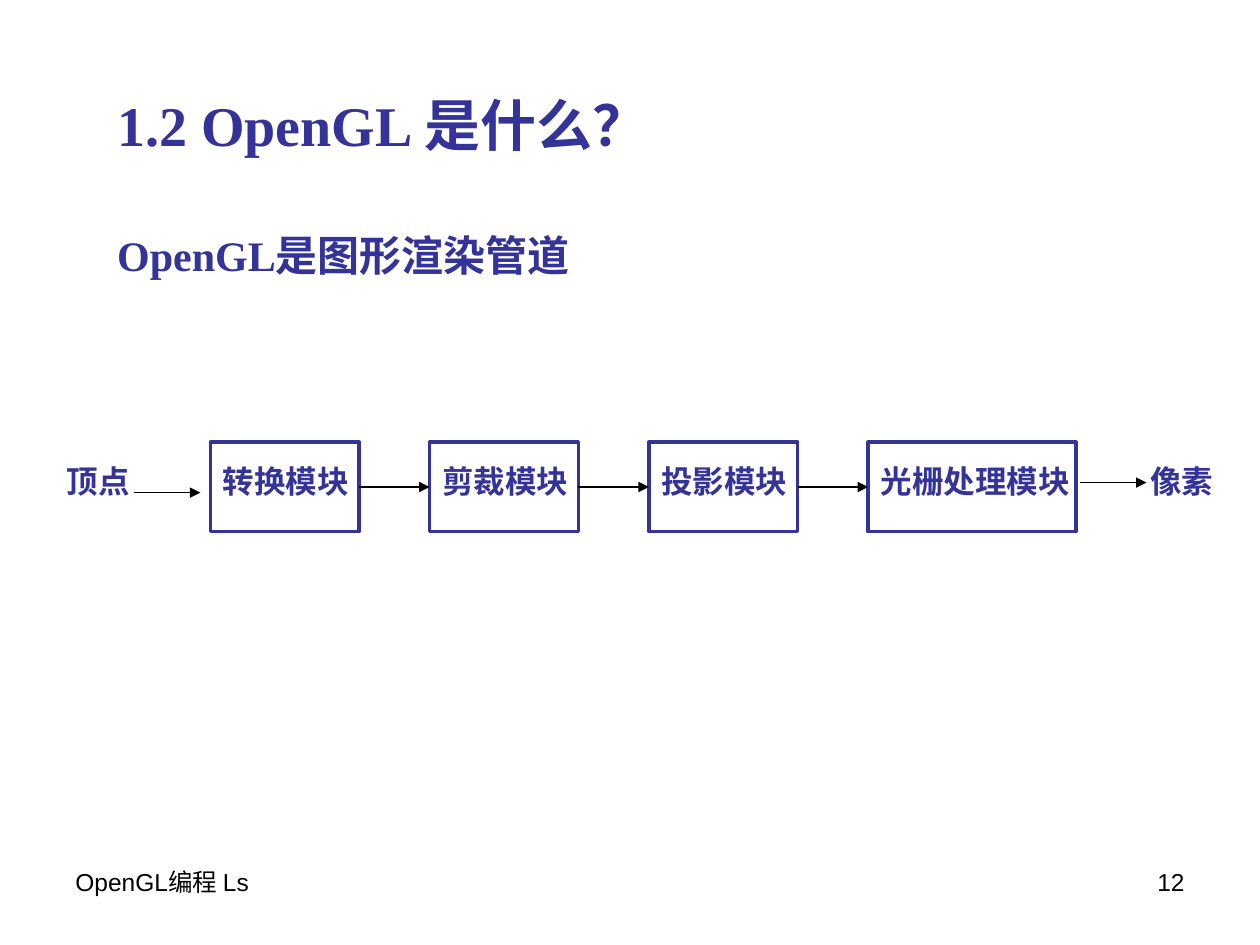
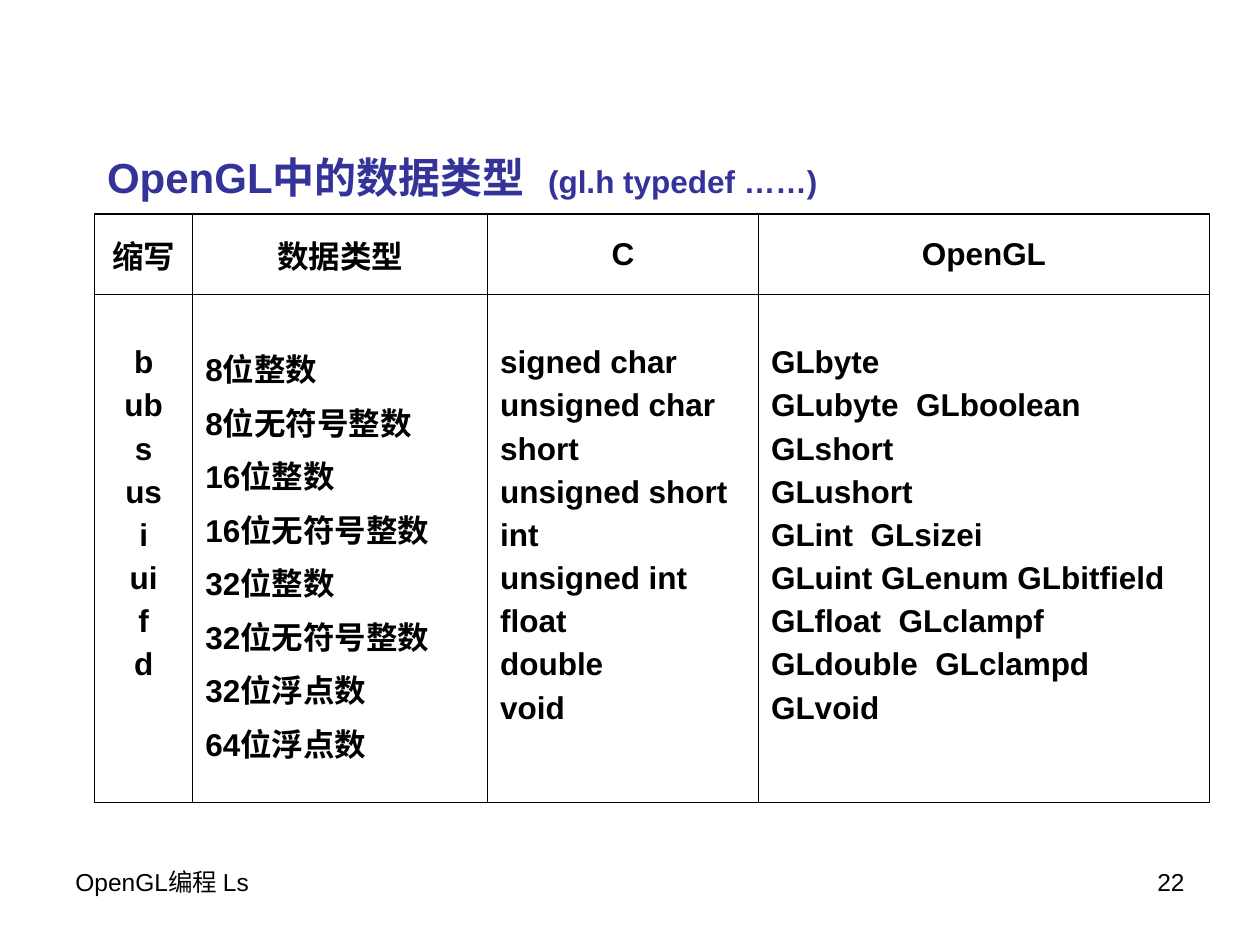
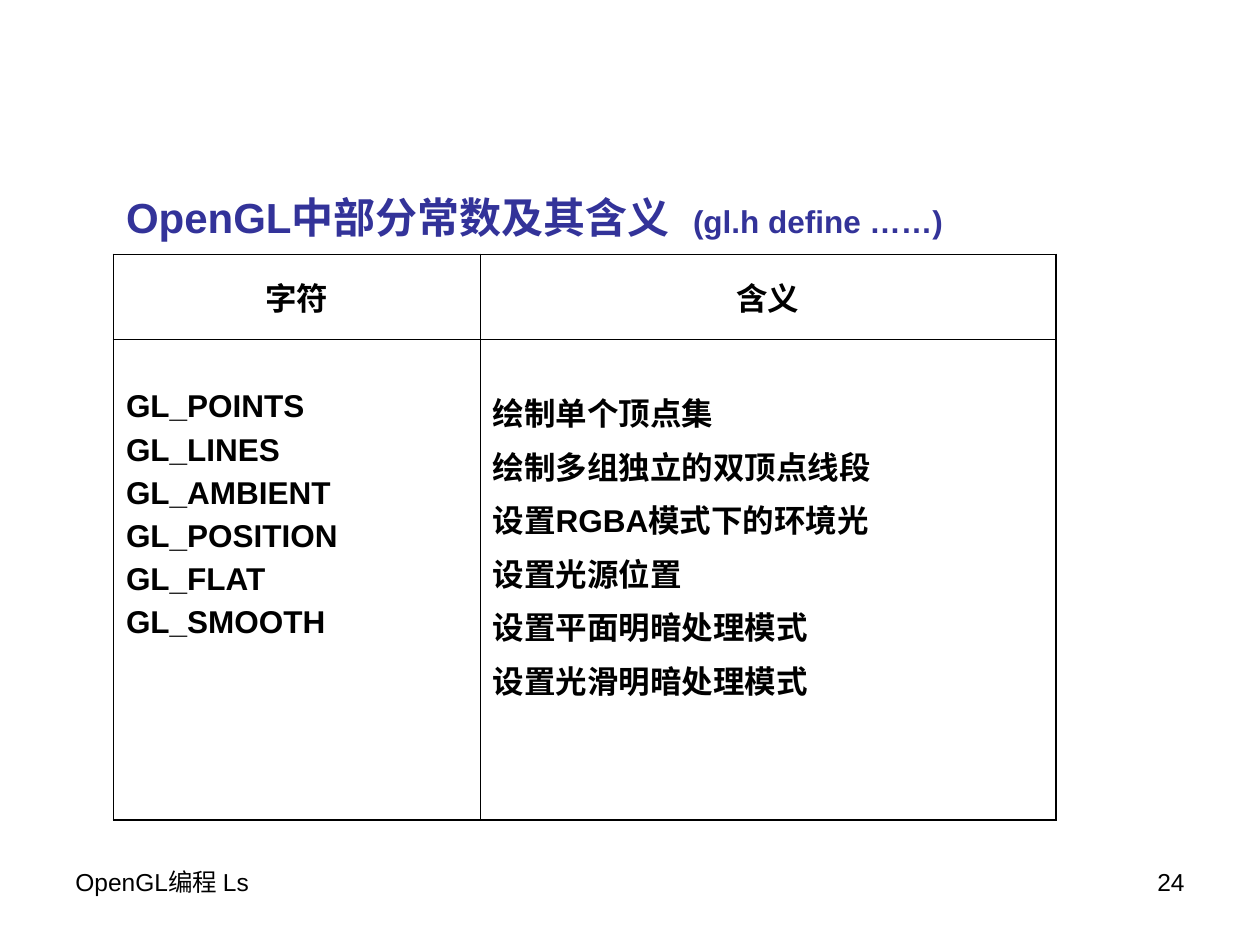
from collections import namedtuple
from pptx import Presentation
from pptx.dml.color import RGBColor
from pptx.enum.dml import MSO_LINE
from pptx.enum.shapes import MSO_CONNECTOR, MSO_SHAPE
from pptx.enum.text import MSO_ANCHOR, MSO_AUTO_SIZE, PP_ALIGN
from pptx.oxml.ns import qn
from pptx.util import Inches, Pt
from lxml.etree import SubElement

INDIGO = RGBColor(0x33, 0x33, 0x99)
BLACK = RGBColor(0, 0, 0)
SANS = "Arial"
SERIF = "Times New Roman"
WIDTH, HEIGHT = Inches(10), Inches(7.5)
COLUMN, ROW = WIDTH / 100, HEIGHT / 75
TITLE_ONLY, TITLE_AND_BODY = 5, 1
FOOTER = "OpenGL编程 Ls"
OUTER_BORDER, INNER_BORDER = Pt(1.08), Pt(0.45)

Box = namedtuple("Box", "left top width height")
Style = namedtuple("Style", "size font color bold")

FOOTER_STYLE = Style(14, SANS, BLACK, False)
HEADING = Style(32, SERIF, INDIGO, True)
SUBHEADING = Style(24, SERIF, INDIGO, True)
TABLE_TITLE = Style(24, SANS, INDIGO, True)
TABLE_NOTE = Style(18, SANS, INDIGO, True)
STAGE = Style(18, SANS, INDIGO, True)
CELL = Style(18, SANS, BLACK, True)

DATA_TYPES = {
    "缩写": ["b", "ub", "s", "us", "i", "ui", "f", "d"],
    "数据类型": ["8位整数", "8位无符号整数", "16位整数", "16位无符号整数",
             "32位整数", "32位无符号整数", "32位浮点数", "64位浮点数"],
    "C": ["signed char", "unsigned char", "short", "unsigned short", "int",
          "unsigned int", "float", "double", "void"],
    "OpenGL": ["GLbyte", "GLubyte  GLboolean", "GLshort", "GLushort",
               "GLint  GLsizei", "GLuint GLenum GLbitfield",
               "GLfloat  GLclampf", "GLdouble  GLclampd", "GLvoid"],
}
CONSTANTS = {
    "字符": ["GL_POINTS", "GL_LINES", "GL_AMBIENT", "GL_POSITION", "GL_FLAT", "GL_SMOOTH"],
    "含义": ["绘制单个顶点集", "绘制多组独立的双顶点线段", "设置RGBA模式下的环境光",
           "设置光源位置", "设置平面明暗处理模式", "设置光滑明暗处理模式"],
}


def columns(count):
    return round(count * COLUMN)


def rows(count):
    return round(count * ROW)


def area(left, top, width, height):
    return Box(columns(left), rows(top), columns(width), rows(height))


def inside(box, left, top, width, height):
    part = area(left, top, width, height)
    return part._replace(left=box.left + part.left, top=box.top + part.top)


def add_span(para, text, style):
    span = para.add_run()
    span.text = text
    span.font.size = Pt(style.size)
    span.font.name = style.font
    span.font.bold = style.bold
    span.font.color.rgb = style.color


def write_lines(frame, lines, style, align=PP_ALIGN.LEFT):
    for index, line in enumerate(lines):
        para = frame.add_paragraph() if index else frame.paragraphs[0]
        para.alignment = align
        para.space_before = Pt(4.5 if index else 0)
        add_span(para, line, style)


def add_label(page, box, text, style, align=PP_ALIGN.LEFT):
    frame = page.shapes.add_textbox(*box).text_frame
    frame.word_wrap = True
    frame.margin_right = columns(1) if align == PP_ALIGN.RIGHT else 0
    write_lines(frame, [text], style, align)


def fill_placeholder(holder, box, spans, tab=None):
    holder.left, holder.top, holder.width, holder.height = box
    frame = holder.text_frame
    frame.auto_size = MSO_AUTO_SIZE.NONE
    frame.vertical_anchor = MSO_ANCHOR.TOP
    para = frame.paragraphs[0]
    para.alignment = PP_ALIGN.LEFT
    para.space_before = Pt(0)
    settings = para._p.get_or_add_pPr()
    settings.set("marL", "0")
    settings.set("indent", "0")
    SubElement(settings, qn("a:buNone"))
    if tab:
        stops = SubElement(settings, qn("a:tabLst"))
        SubElement(stops, qn("a:tab"), pos=str(columns(tab)), algn="l")
    for text, style in spans:
        add_span(para, text, style)


def add_page(deck, layout, number):
    page = deck.slides.add_slide(deck.slide_layouts[layout])
    add_label(page, area(5, 68.3, 23.3, 5.2), FOOTER, FOOTER_STYLE)
    add_label(page, area(71.7, 68.3, 23.3, 5.2), str(number), FOOTER_STYLE, PP_ALIGN.RIGHT)
    return page


def add_arrow(page, start, end):
    arrow = page.shapes.add_connector(MSO_CONNECTOR.STRAIGHT, *start, *end)
    arrow.line.color.rgb = BLACK
    arrow.line.width = Pt(0.75)
    arrow.line.dash_style = MSO_LINE.SOLID
    SubElement(arrow.line._get_or_add_ln(), qn("a:tailEnd"), type="triangle")
    SubElement(arrow._element.spPr, qn("a:effectLst"))
    return arrow


def add_stage(page, box, text):
    stage = page.shapes.add_shape(MSO_SHAPE.RECTANGLE, *box)
    stage.shadow.inherit = False
    stage.fill.background()
    stage.line.color.rgb = INDIGO
    stage.line.width = Pt(2)
    frame = stage.text_frame
    frame.word_wrap = True
    frame.vertical_anchor = MSO_ANCHOR.TOP
    frame.margin_top = rows(1.6)
    frame.margin_right = 0
    write_lines(frame, [text], STAGE)
    return stage


def add_pipeline(page, box):
    modules = [("转换模块", 11.8), ("剪裁模块", 11.8), ("投影模块", 11.8), ("光栅处理模块", 16.5)]
    first, pitch, height = 12.4, 17.4, 7.1
    stages = [add_stage(page, inside(box, first + index * pitch, 0, width, height), text)
              for index, (text, width) in enumerate(modules)]
    for before, after in zip(stages, stages[1:]):
        middle = before.top + before.height // 2
        arrow = add_arrow(page, (before.left + before.width, middle), (after.left, middle))
        arrow.begin_connect(before, 3)
        arrow.end_connect(after, 1)
    for text, label_left, arrow_left, arrow_top in [("顶点", 0, 6.3, 4), ("像素", 86, 81.4, 3.2)]:
        add_label(page, inside(box, label_left, 1.1, 7, 4), text, STAGE)
        path_box = inside(box, arrow_left, arrow_top, 5.3, 0)
        add_arrow(page, path_box[:2], (path_box.left + path_box.width, path_box.top))


def set_border(cell, side, width):
    edge = SubElement(cell._tc.get_or_add_tcPr(), qn("a:ln" + side), w=str(width))
    paint = SubElement(edge, qn("a:solidFill"))
    SubElement(paint, qn("a:srgbClr"), val=str(BLACK))


def add_grid(page, box, content, widths, header_height, centred=()):
    table = page.shapes.add_table(2, len(content), *box).table
    table.first_row = False
    table.horz_banding = False
    table.rows[0].height = rows(header_height)
    table.rows[1].height = box.height - rows(header_height)
    last = len(content) - 1
    for index, (name, lines) in enumerate(content.items()):
        table.columns[index].width = columns(widths[index])
        header, body = table.cell(0, index), table.cell(1, index)
        header.vertical_anchor = MSO_ANCHOR.MIDDLE
        body.margin_top = rows(4)
        write_lines(header.text_frame, [name], CELL, PP_ALIGN.CENTER)
        align = PP_ALIGN.CENTER if name in centred else PP_ALIGN.LEFT
        write_lines(body.text_frame, lines, CELL, align)
        for cell in (header, body):
            outer = {"L": index == 0, "R": index == last, "T": cell is header, "B": cell is body}
            for side, is_outer in outer.items():
                set_border(cell, side, OUTER_BORDER if is_outer else INNER_BORDER)
            cell.fill.background()


def pipeline_page(deck):
    page = add_page(deck, TITLE_AND_BODY, 12)
    fill_placeholder(page.shapes.title, area(8.3, 6.7, 51.2, 6.4),
                     [("1.2 OpenGL 是什么？", HEADING)])
    fill_placeholder(page.placeholders[1], area(8.3, 17.7, 44.1, 5),
                     [("OpenGL是图形渲染管道", SUBHEADING)])
    add_pipeline(page, area(4.3, 35.1, 93, 7.1))


def table_page(deck, number, title, note, title_box, tab, **grid):
    page = add_page(deck, TITLE_ONLY, number)
    fill_placeholder(page.shapes.title, title_box,
                     [(title + "\t", TABLE_TITLE), (note, TABLE_NOTE)], tab)
    add_grid(page, **grid)


def main():
    deck = Presentation()
    deck.slide_width, deck.slide_height = WIDTH, HEIGHT
    pipeline_page(deck)
    table_page(deck, 22, "OpenGL中的数据类型", "(gl.h typedef ……)",
               area(7.5, 11.5, 68.5, 5), 43.1,
               box=area(7.5, 17, 88.6, 46.7), content=DATA_TYPES,
               widths=[7.8, 23.4, 21.5, 35.8], header_height=6.4, centred=["缩写"])
    table_page(deck, 24, "OpenGL中部分常数及其含义", "(gl.h define ……)",
               area(9, 14.7, 88.2, 5), 53.1,
               box=area(9, 20.2, 74.8, 44.9), content=CONSTANTS,
               widths=[29.1, 45.7], header_height=6.7)
    deck.save("out.pptx")


if __name__ == "__main__":
    main()
